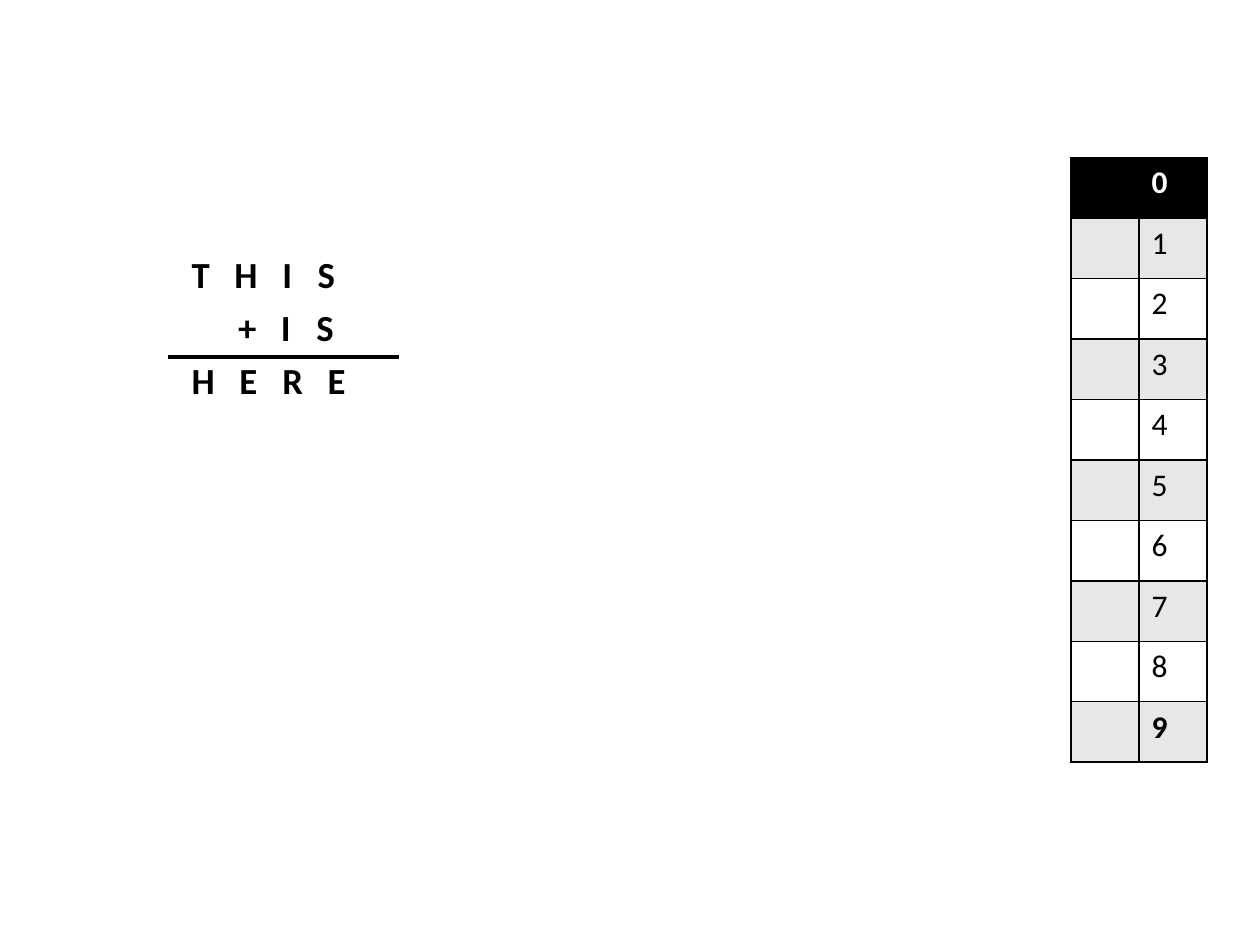
from lxml.etree import SubElement
from pptx import Presentation
from pptx.dml.color import RGBColor
from pptx.enum.shapes import MSO_CONNECTOR
from pptx.oxml.ns import qn
from pptx.util import Inches, Pt

FONT = "Calibri"
COLORS = {"ink": "000000", "paper": "FFFFFF", "band": "E7E7E7"}

# Each letter with its distance in inches from the left edge of the text.
PUZZLE = [
    [("T", 0.75), ("H", 1.09), ("I", 1.47), ("S", 1.75)],
    [("+", 1.12), ("I", 1.46), ("S", 1.74)],
    [("H", 0.75), ("E", 1.13), ("R", 1.47), ("E", 1.83)],
]
DIGITS = "0123456789"
COLUMN_WIDTH, ROW_HEIGHT = 0.54, 0.48


def color(name):
    return RGBColor.from_string(COLORS[name])


def style_font(paragraph, size, color_name, bold):
    font = paragraph.font
    font.name, font.size, font.bold = FONT, Pt(size), bold
    font.color.rgb = color(color_name)


def add_tab_stops(paragraph, positions):
    paragraph.line_spacing = 0.9
    paragraph.space_before = Pt(7.5)
    properties = paragraph._p.get_or_add_pPr()
    tab_list = SubElement(properties, qn("a:tabLst"))
    for position in positions:
        SubElement(tab_list, qn("a:tab"), pos=str(Inches(position)), algn="l")


def add_puzzle(slide):
    box = slide.shapes.add_textbox(Inches(0.69), Inches(2), Inches(8.62), Inches(4.76))
    frame = box.text_frame
    frame.word_wrap = True
    frame.margin_left = frame.margin_right = Inches(0.08)
    frame.margin_top = frame.margin_bottom = Inches(0.04)
    for index, letters in enumerate(PUZZLE):
        paragraph = frame.add_paragraph() if index else frame.paragraphs[0]
        paragraph.add_run().text = "".join("\t" + letter for letter, _ in letters)
        add_tab_stops(paragraph, [position for _, position in letters])
        style_font(paragraph, 21, "ink", True)


def add_sum_line(slide):
    line = slide.shapes.add_connector(
        MSO_CONNECTOR.STRAIGHT, Inches(1.33), Inches(2.83), Inches(3.17), Inches(2.83))
    line.line.color.rgb = color("ink")
    line.line.width = Pt(2.25)
    SubElement(line._element.spPr, qn("a:effectLst"))


def format_cell(cell, fill_name):
    """Put borders in before the fill, as the schema orders them."""
    properties = cell._tc.get_or_add_tcPr()
    for side in ("lnL", "lnR", "lnT", "lnB"):
        border = SubElement(properties, qn("a:" + side), w=str(Pt(1)))
        fill = SubElement(border, qn("a:solidFill"))
        SubElement(fill, qn("a:srgbClr"), val=COLORS["ink"])
    cell.fill.solid()
    cell.fill.fore_color.rgb = color(fill_name)


def add_digit_table(slide):
    table = slide.shapes.add_table(
        len(DIGITS), 2, Inches(8.5), Inches(1.25),
        Inches(2 * COLUMN_WIDTH), Inches(len(DIGITS) * ROW_HEIGHT)).table
    for column in table.columns:
        column.width = Inches(COLUMN_WIDTH)
    for index, digit in enumerate(DIGITS):
        header = index == 0
        fill_name = "ink" if header else "band" if index % 2 else "paper"
        table.rows[index].height = Inches(ROW_HEIGHT)
        for cell in table.rows[index].cells:
            format_cell(cell, fill_name)
        digit_cell = table.cell(index, 1)
        digit_cell.text = digit
        style_font(digit_cell.text_frame.paragraphs[0], 18,
                   "paper" if header else "ink", digit in "09")


def main():
    presentation = Presentation()
    presentation.slide_width, presentation.slide_height = Inches(10), Inches(7.5)
    slide = presentation.slides.add_slide(presentation.slide_layouts[6])
    add_puzzle(slide)
    add_digit_table(slide)
    add_sum_line(slide)
    presentation.save("out.pptx")


if __name__ == "__main__":
    main()
